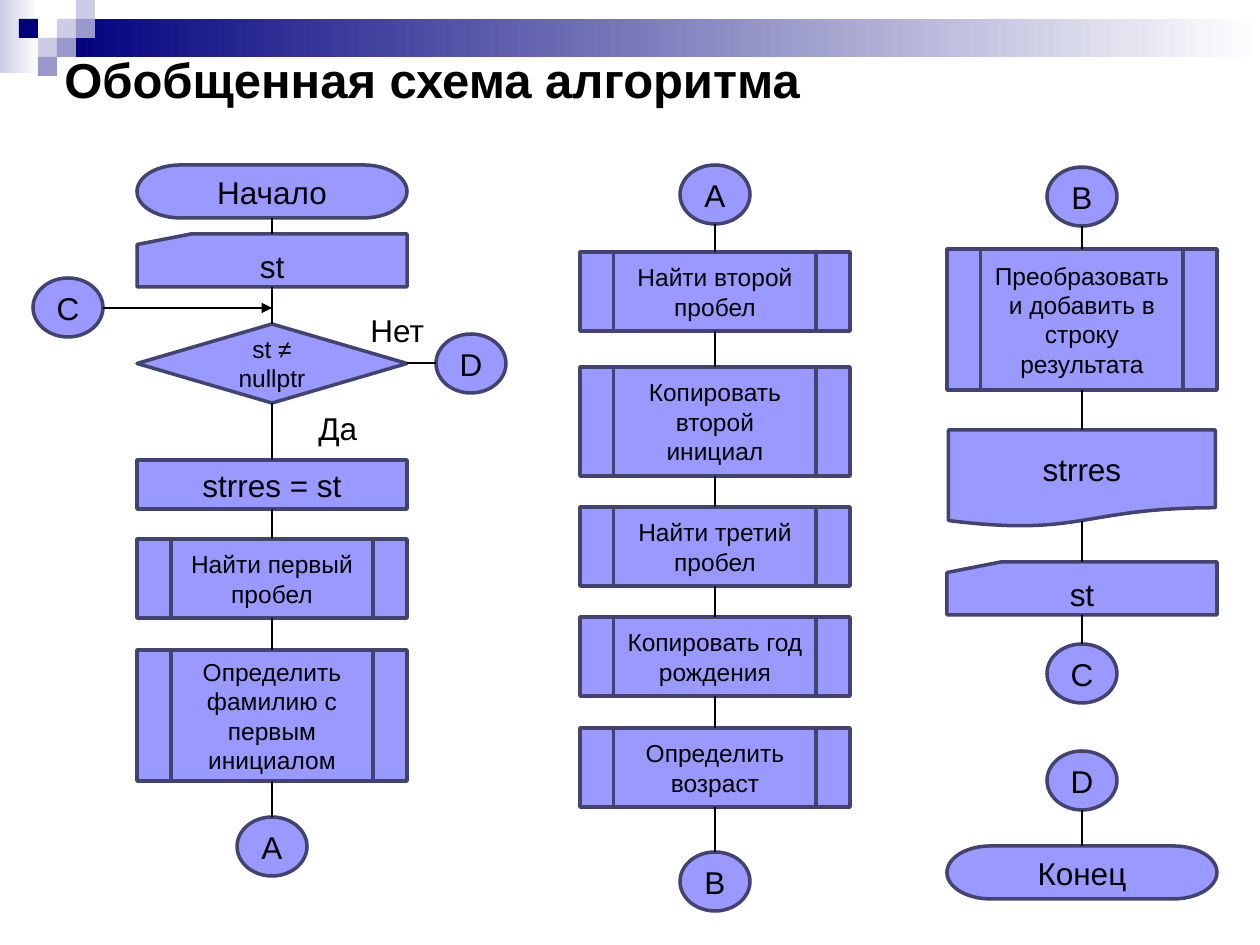
from lxml import etree
from pptx import Presentation
from pptx import util as u
from pptx.dml.color import RGBColor
from pptx.enum import shapes, text
from pptx.oxml.ns import qn

PX = 914400 / 126  # EMU in one px
COLORS = {
    "navy": "00007D", "mid": "9999CC", "pale": "CCCCE6", "white": "FFFFFF",
    "block": "9999FF", "edge": "434370", "ink": "000000",
}
KIND = shapes.MSO_SHAPE
START_END = KIND.FLOWCHART_TERMINATOR
CARD = KIND.FLOWCHART_CARD
CHOICE = KIND.FLOWCHART_DECISION
ACTION = KIND.FLOWCHART_PROCESS
CALL = KIND.FLOWCHART_PREDEFINED_PROCESS
DOCUMENT = KIND.FLOWCHART_DOCUMENT
LINK = KIND.FLOWCHART_CONNECTOR

deck = Presentation()
deck.slide_width, deck.slide_height = u.Inches(10), u.Inches(7.5)
page = deck.slides.add_slide(deck.slide_layouts[6])


def color(name):
    return RGBColor.from_string(COLORS[name])


def write(box, words, size, align, anchor, bold=False):
    frame = box.text_frame
    frame.word_wrap = True
    frame.vertical_anchor = anchor
    para = frame.paragraphs[0]
    para.alignment = align
    span = para.add_run()
    span.text = words
    span.font.name, span.font.size, span.font.bold = "Arial", u.Pt(size), bold
    span.font.color.rgb = color("ink")


# Header: two gradient bands under a mosaic of squares
for place, first in [((0, 0, 39, 73), "pale"), ((57, 19, 1203, 38), "navy")]:
    band = page.shapes.add_shape(KIND.RECTANGLE, *[round(n * PX) for n in place])
    band.shadow.inherit = False
    band.line.fill.background()
    band.fill.gradient()
    band.fill.gradient_angle = 0
    for stop, name in zip(band.fill.gradient_stops, (first, "white")):
        stop.color.rgb = color(name)

SQUARE = 19
for column, row, name in [
    (3, 1, "pale"), (4, 0, "pale"), (4, 1, "mid"), (2, 2, "pale"),
    (1, 1, "navy"), (3, 2, "mid"), (2, 3, "mid"),
]:
    place = (column * SQUARE, row * SQUARE, SQUARE, SQUARE)
    square = page.shapes.add_shape(KIND.RECTANGLE, *[round(n * PX) for n in place])
    square.shadow.inherit = False
    square.line.fill.background()
    square.fill.solid()
    square.fill.fore_color.rgb = color(name)

# Text boxes: title and the two branch labels
for words, place, size, anchor, bold in [
    ("Обобщенная схема алгоритма", (52, 53, 1134, 52), 28, text.MSO_ANCHOR.MIDDLE, True),
    ("Да", (306, 403, 86, 50), 18, text.MSO_ANCHOR.TOP, False),
    ("Нет", (358, 305, 86, 50), 18, text.MSO_ANCHOR.TOP, False),
]:
    box = page.shapes.add_textbox(*[round(n * PX) for n in place])
    write(box, words, size, text.PP_ALIGN.LEFT, anchor, bold)

# Each chain: centre x, then steps (kind, words, top, height)
chains = [
    (272, [
        (START_END, "Начало", 165, 53),
        (CARD, "st", 234, 53),
        (CHOICE, "st ≠ nullptr", 324, 79),
        (ACTION, "strres = st", 460, 49),
        (CALL, "Найти первый пробел", 539, 79),
        (CALL, "Определить фамилию с первым инициалом", 650, 131),
        (LINK, "A", 817, 59),
    ]),
    (715, [
        (LINK, "A", 165, 59),
        (CALL, "Найти второй пробел", 252, 79),
        (CALL, "Копировать второй инициал", 367, 109),
        (CALL, "Найти третий пробел", 507, 79),
        (CALL, "Копировать год рождения", 617, 79),
        (CALL, "Определить возраст", 728, 79),
        (LINK, "B", 852, 59),
    ]),
    (1082, [
        (LINK, "B", 167, 59),
        (CALL, "Преобразовать и добавить в строку результата", 249, 141),
        (DOCUMENT, "strres", 430, 97),
        (CARD, "st", 562, 53),
        (LINK, "C", 644, 59),
    ]),
    (1082, [(LINK, "D", 751, 59), (START_END, "Конец", 846, 53)]),
    (68, [(LINK, "C", 278, 59)]),
    (471, [(LINK, "D", 334, 59)]),
]
WIDTHS = {LINK: 70, DOCUMENT: 267}
BLOCK_WIDTH = 270
arrows = [(103, 308, 272, 308, True), (407, 363, 436, 363, False)]

for center, steps in chains:
    previous_bottom = None
    for kind, words, top, height in steps:
        width = WIDTHS.get(kind, BLOCK_WIDTH)
        place = (center - width / 2, top, width, height)
        block = page.shapes.add_shape(kind, *[round(n * PX) for n in place])
        block.shadow.inherit = False
        block.fill.solid()
        block.fill.fore_color.rgb = color("block")
        block.line.color.rgb = color("edge")
        block.line.width = u.Pt(2)
        size = 14 if kind in (CALL, CHOICE) else 18
        write(block, words, size, text.PP_ALIGN.CENTER, text.MSO_ANCHOR.MIDDLE)
        if previous_bottom is not None:
            arrows.append((center, previous_bottom, center, top, False))
        # The wavy edge of a document is higher at its middle
        previous_bottom = top + height - (6 if kind == DOCUMENT else 0)

for *ends, has_head in arrows:
    arrow = page.shapes.add_connector(
        shapes.MSO_CONNECTOR.STRAIGHT, *[round(n * PX) for n in ends])
    arrow.line.color.rgb = color("ink")
    arrow.line.width = u.Pt(0.75)
    if has_head:
        etree.SubElement(arrow.line._get_or_add_ln(), qn("a:tailEnd"), type="triangle")
    etree.SubElement(arrow._element.spPr, qn("a:effectLst"))

deck.save("out.pptx")
